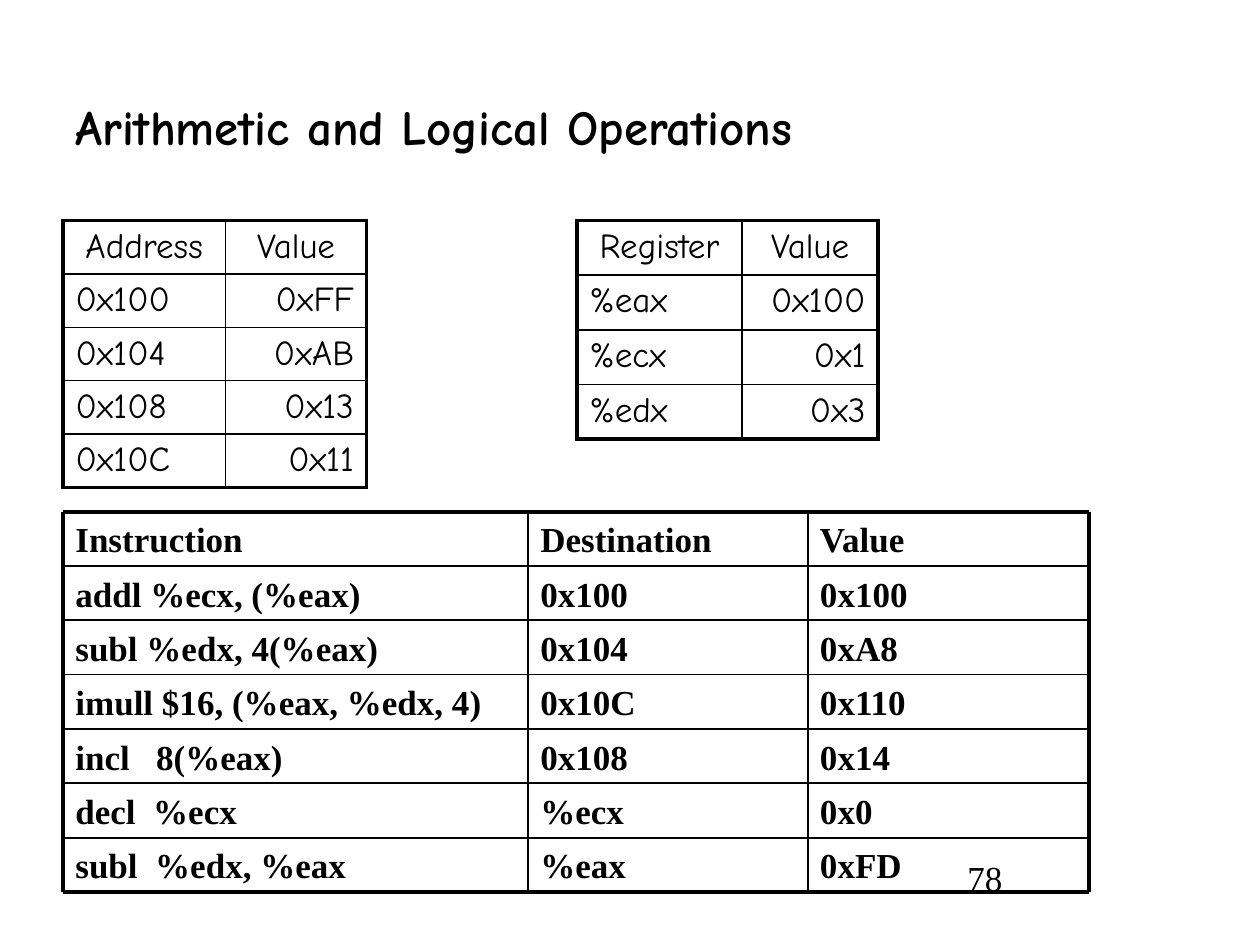
"""Build a slide on arithmetic and logical operations with three grids."""
from dataclasses import dataclass
from itertools import accumulate

from lxml import etree
from pptx import Presentation
from pptx.dml.color import RGBColor
from pptx.enum.shapes import MSO_CONNECTOR
from pptx.enum.text import MSO_ANCHOR, PP_ALIGN
from pptx.oxml.ns import qn
from pptx.util import Inches, Pt

LEFT, MID, RIGHT = PP_ALIGN.LEFT, PP_ALIGN.CENTER, PP_ALIGN.RIGHT
TOP, CENTRE = MSO_ANCHOR.TOP, MSO_ANCHOR.MIDDLE
STRAIGHT = MSO_CONNECTOR.STRAIGHT
COLOR = {"ink": "000000"}
COMIC, TIMES = "Comic Neue", "Times New Roman"
THICK, THIN = 2.25, 1


@dataclass
class Grid:
    left: float
    top: float
    high: float
    cols: list[float]
    rows: list[tuple[str, ...]]
    pad: float = 0.05


TABLES = [
    Grid(0.5, 1.75, 2.1, [1.29, 1.12], [
        ("Address", "Value"),
        ("0x100", "0xFF"),
        ("0x104", "0xAB"),
        ("0x108", "0x13"),
        ("0x10C", "0x11"),
    ], 0.04),
    Grid(4.58, 1.75, 1.73, [1.31, 1.08], [
        ("Register", "Value"),
        ("%eax", "0x100"),
        ("%ecx", "0x1"),
        ("%edx", "0x3"),
    ]),
]
RESULTS = Grid(0.5, 4.06, 3.02, [3.69, 2.22, 2.23], [
    ("Instruction", "Destination", "Value"),
    ("addl %ecx, (%eax)", "0x100", "0x100"),
    ("subl %edx, 4(%eax)", "0x104", "0xA8"),
    ("imull $16, (%eax, %edx, 4)", "0x10C", "0x110"),
    ("incl   8(%eax)", "0x108", "0x14"),
    ("decl  %ecx", "%ecx", "0x0"),
    ("subl  %edx, %eax", "%eax", "0xFD"),
])


def write(frame, text: str, *, font: str, size: float = 20,
          bold: bool = False, align=LEFT) -> None:
    """Put formatted text into a text frame."""
    frame.word_wrap = True
    para = frame.paragraphs[0]
    para.alignment = align
    run = para.add_run()
    run.text = text
    run.font.name = font
    run.font.size = Pt(size)
    run.font.bold = bold
    run.font.color.rgb = RGBColor.from_string(COLOR["ink"])


def add_label(slide, text: str, box: tuple[float, ...], anchor=TOP, **style) -> None:
    """Add a text box with one line of text."""
    frame = slide.shapes.add_textbox(*map(Inches, box)).text_frame
    frame.vertical_anchor = anchor
    write(frame, text, **style)


def add_edge(cell, side: str, width: float) -> None:
    """Draw one border of a cell."""
    props = cell._tc.get_or_add_tcPr()
    line = etree.SubElement(props, qn(f"a:ln{side}"), w=str(Pt(width)))
    fill = etree.SubElement(line, qn("a:solidFill"))
    etree.SubElement(fill, qn("a:srgbClr"), val=COLOR["ink"])


def add_table(slide, grid: Grid) -> None:
    """Add a table with a thick frame and thin inner lines."""
    count, span = len(grid.rows), len(grid.cols)
    box = (grid.left, grid.top, sum(grid.cols), grid.high)
    table = slide.shapes.add_table(count, span, *map(Inches, box)).table
    table.first_row = table.horz_banding = False
    for col, width in zip(table.columns, grid.cols):
        col.width = Inches(width)
    for y, row in enumerate(grid.rows):
        table.rows[y].height = Inches(grid.high / count)
        for x, text in enumerate(row):
            cell = table.cell(y, x)
            outer = {"L": x == 0, "R": x == span - 1,
                     "T": y == 0, "B": y == count - 1}
            for side, thick in outer.items():
                add_edge(cell, side, THICK if thick else THIN)
            cell.fill.background()
            cell.margin_bottom = Inches(grid.pad)
            align = (LEFT, RIGHT)[x] if y else MID
            write(cell.text_frame, text, font=COMIC, align=align)


def add_rule(slide, ends: tuple[float, ...], width: float) -> None:
    """Add a straight line between two points."""
    line = slide.shapes.add_connector(STRAIGHT, *map(Inches, ends))
    line.line.width = Pt(width)
    line.line.color.rgb = RGBColor.from_string(COLOR["ink"])
    etree.SubElement(line._element.spPr, qn("a:effectLst"))


def add_ruled(slide, grid: Grid) -> None:
    """Add labels in rows and columns parted by ruled lines."""
    step = grid.high / len(grid.rows)
    xs = list(accumulate(grid.cols, initial=grid.left))
    ys = [grid.top + step * y for y in range(len(grid.rows) + 1)]
    for y, row in zip(ys, grid.rows):
        for x, width, text in zip(xs, grid.cols, row):
            add_label(slide, text, (x, y, width, step), font=TIMES, bold=True)
    for y in ys:
        add_rule(slide, (xs[0], y, xs[-1], y), THICK if y in (ys[0], ys[-1]) else THIN)
    for x in xs:
        add_rule(slide, (x, ys[0], x, ys[-1]), THICK if x in (xs[0], xs[-1]) else THIN)


def main() -> None:
    """Build and save the slide."""
    deck = Presentation()
    deck.slide_width, deck.slide_height = Inches(10), Inches(7.5)
    slide = deck.slides.add_slide(deck.slide_layouts[6])
    add_label(slide, "78", (7.58, 6.75, 1.42, 0.5), font=TIMES)
    add_label(slide, "Arithmetic and Logical Operations", (0.5, 0.5, 8.83, 1),
              CENTRE, font=COMIC, size=28, bold=True)
    for grid in TABLES:
        add_table(slide, grid)
    add_ruled(slide, RESULTS)
    deck.save("out.pptx")


if __name__ == "__main__":
    main()
